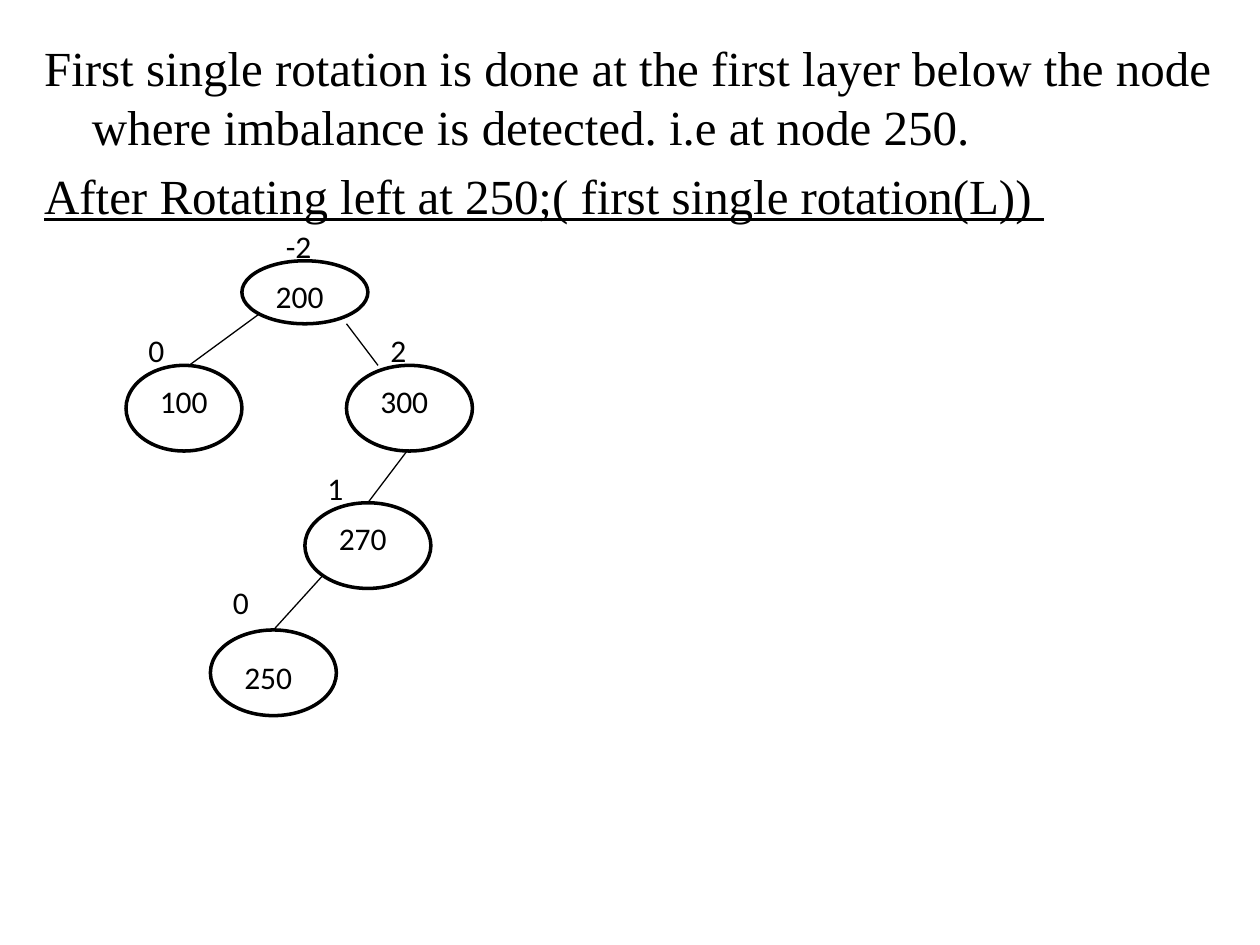
from dataclasses import dataclass

import pptx
import pptx.dml.color
import pptx.enum.shapes
import pptx.enum.text
import pptx.oxml
import pptx.oxml.ns
import pptx.util
from pptx.util import Inches


@dataclass(frozen=True)
class Theme:
    ink: pptx.dml.color.RGBColor = pptx.dml.color.RGBColor(0, 0, 0)
    paper: pptx.dml.color.RGBColor = pptx.dml.color.RGBColor(255, 255, 255)
    body_font: str = "Times New Roman"
    tree_font: str = "Calibri"
    body_size: int = 28
    tree_size: int = 18
    outline: float = 2
    edge: float = 0.75


@dataclass(frozen=True)
class Node:
    value: str
    balance: str
    left: float
    top: float
    balance_shift: float
    width: float = 1.0
    height: float = 0.68
    value_width: float = 0.58
    value_drop: float = 0.08
    balance_rise: float = 0.32


@dataclass(frozen=True)
class Edge:
    start: tuple[float, float]
    end: tuple[float, float]


THEME = Theme()
VALUE_SHIFT = 0.17
LABEL_HEIGHT = 0.4
BALANCE_WIDTH = 0.42

STATEMENTS = [
    ("First single rotation is done at the first layer below the node "
     "where imbalance is detected. i.e at node 250.", False),
    ("After Rotating left at 250;( first single rotation(L)) ", True),
]
NODES = [
    Node("100", "0", 1.0, 2.9, 0.08, width=0.92, value_width=0.67),
    Node("200", "-2", 1.92, 2.07, 0.25, height=0.5, value_width=0.67),
    Node("300", "2", 2.75, 2.9, 0.25),
    Node("270", "1", 2.42, 3.99, 0.08),
    Node("250", "0", 1.67, 5.0, 0.08, value_drop=0.17, balance_rise=0.42),
]
EDGES = [
    Edge((1.5, 2.9), (2.06, 2.49)),
    Edge((2.75, 2.57), (3.0, 2.9)),
    Edge((2.92, 3.99), (3.23, 3.58)),
    Edge((2.17, 5.0), (2.56, 4.57)),
]


def add_run(paragraph, text: str, font_name: str, size: int, underline: bool = False) -> None:
    run = paragraph.add_run()
    run.text = text
    run.font.name = font_name
    run.font.size = pptx.util.Pt(size)
    run.font.color.rgb = THEME.ink
    if underline:
        run.font.underline = True


def fill_body(body) -> None:
    body.left, body.top = Inches(0.25), Inches(0.25)
    body.width, body.height = Inches(9.5), Inches(7.08)
    frame = body.text_frame
    frame.auto_size = pptx.enum.text.MSO_AUTO_SIZE.NONE
    for index, (text, underline) in enumerate(STATEMENTS):
        paragraph = frame.paragraphs[0] if index == 0 else frame.add_paragraph()
        properties = paragraph._p.get_or_add_pPr()
        properties.set("marL", str(Inches(0.38)))
        properties.set("indent", str(Inches(-0.38)))
        pptx.oxml.ns.qn("a:buNone")
        properties.append(pptx.oxml.parse_xml(
            f'<a:buNone {pptx.oxml.ns.nsdecls("a")}/>'))
        add_run(paragraph, text, THEME.body_font, THEME.body_size, underline)


def add_label(slide, text: str, left: float, top: float, width: float) -> None:
    label = slide.shapes.add_textbox(
        Inches(left), Inches(top), Inches(width), Inches(LABEL_HEIGHT))
    frame = label.text_frame
    frame.word_wrap = True
    frame.auto_size = pptx.enum.text.MSO_AUTO_SIZE.SHAPE_TO_FIT_TEXT
    add_run(frame.paragraphs[0], text, THEME.tree_font, THEME.tree_size)


def add_node(slide, node: Node) -> None:
    """Draw the ellipse, its value and the balance factor above it."""
    ellipse = slide.shapes.add_shape(
        pptx.enum.shapes.MSO_SHAPE.OVAL, Inches(node.left), Inches(node.top),
        Inches(node.width), Inches(node.height))
    ellipse.shadow.inherit = False
    ellipse.fill.solid()
    ellipse.fill.fore_color.rgb = THEME.paper
    ellipse.line.color.rgb = THEME.ink
    ellipse.line.width = pptx.util.Pt(THEME.outline)
    add_label(slide, node.value, node.left + VALUE_SHIFT,
              node.top + node.value_drop, node.value_width)
    add_label(slide, node.balance, node.left + node.balance_shift,
              node.top - node.balance_rise, BALANCE_WIDTH)


def add_edge(slide, edge: Edge) -> None:
    connector = slide.shapes.add_connector(
        pptx.enum.shapes.MSO_CONNECTOR.STRAIGHT,
        *map(Inches, edge.start + edge.end))
    connector.line.color.rgb = THEME.ink
    connector.line.width = pptx.util.Pt(THEME.edge)
    connector._element.spPr.append(pptx.oxml.parse_xml(
        f'<a:effectLst {pptx.oxml.ns.nsdecls("a")}/>'))


def main() -> None:
    presentation = pptx.Presentation()
    presentation.slide_width, presentation.slide_height = Inches(10), Inches(7.5)
    slide = presentation.slides.add_slide(
        presentation.slide_layouts.get_by_name("Title and Content"))
    title = slide.shapes.title._element
    title.getparent().remove(title)
    fill_body(slide.placeholders[1])
    for node in NODES:
        add_node(slide, node)
    for edge in EDGES:
        add_edge(slide, edge)
    presentation.save("out.pptx")


if __name__ == "__main__":
    main()
